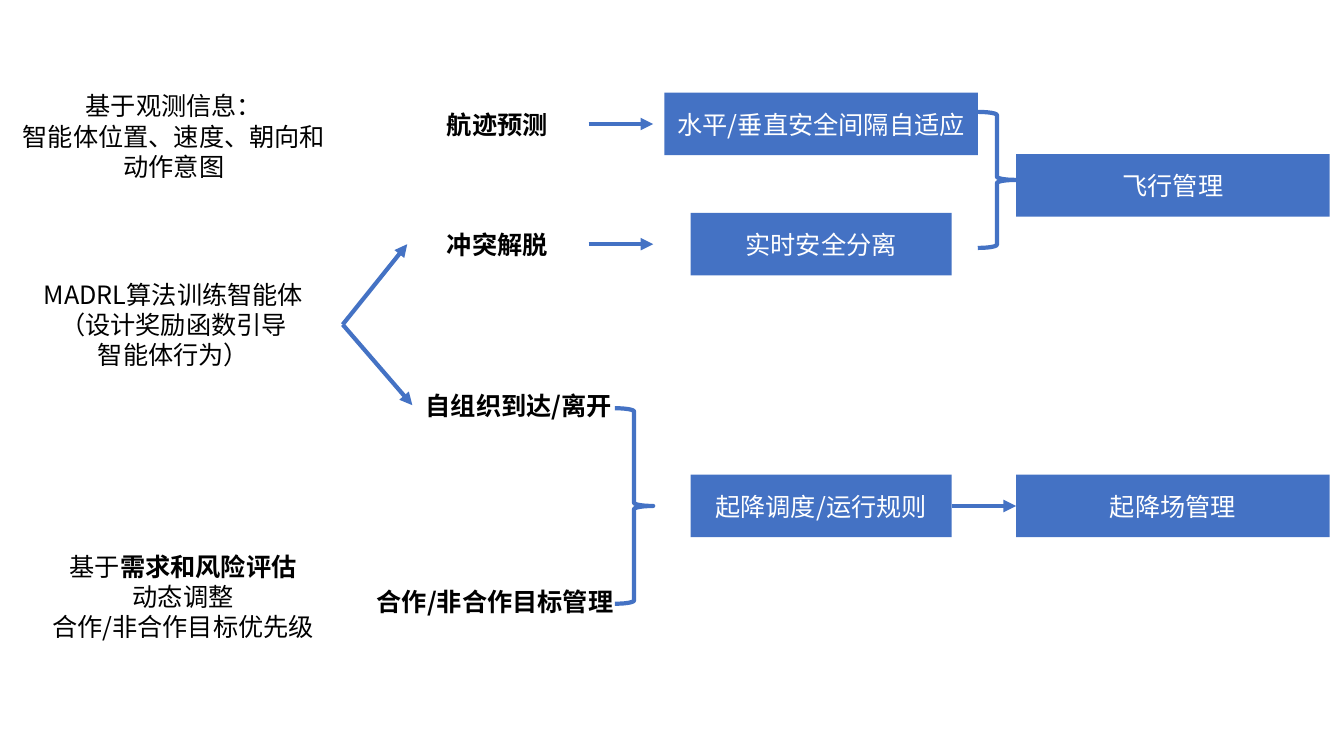
from lxml import etree
from pptx import Presentation
from pptx.dml.color import RGBColor
from pptx.enum.shapes import MSO_CONNECTOR, MSO_SHAPE
from pptx.enum.text import MSO_ANCHOR, PP_ALIGN
from pptx.oxml.ns import qn
from pptx.util import Inches, Pt

RECT, BRACE = MSO_SHAPE.RECTANGLE, MSO_SHAPE.RIGHT_BRACE
STRAIGHT = MSO_CONNECTOR.STRAIGHT
MIDDLE, CENTER = MSO_ANCHOR.MIDDLE, PP_ALIGN.CENTER

COLORS = {"blue": "4472C4", "white": "FFFFFF", "black": "000000"}
BOX_HEIGHT = 8.27

# Vertical centre of each level, in percent of the slide height
PREDICTION, FLIGHT, RESOLUTION = 16.4, 24.53, 32.3
TRAINING, ARRIVAL, VERTIPORT, TARGETS = 42.93, 53.6, 66.93, 79.6


class FlowSlide:
    """One slide measured on a grid of 100 columns by 100 rows."""

    font = "Noto Sans CJK SC"
    text_size = Pt(18)
    line_width = Pt(3)

    def __init__(self, deck):
        self.column = deck.slide_width / 100
        self.row = deck.slide_height / 100
        self.shapes = deck.slides.add_slide(deck.slide_layouts[6]).shapes

    def place(self, left, top, width, height):
        return (round(left * self.column), round(top * self.row),
                round(width * self.column), round(height * self.row))

    def color(self, name):
        return RGBColor.from_string(COLORS[name])

    def set_text(self, frame, paragraphs, color, wrap=True):
        """Each paragraph is a list of (text, bold) runs."""
        frame.word_wrap = wrap
        frame.vertical_anchor = MIDDLE
        for index, runs in enumerate(paragraphs):
            paragraph = frame.add_paragraph() if index else frame.paragraphs[0]
            paragraph.alignment = CENTER
            for text, bold in runs:
                run = paragraph.add_run()
                run.text = text
                run.font.size = self.text_size
                run.font.bold = bold
                run.font.name = self.font
                run.font.color.rgb = self.color(color)
                east_asian = etree.SubElement(run.font._element, qn("a:ea"))
                east_asian.set("typeface", self.font)

    def label(self, left, middle, width, paragraphs, height=BOX_HEIGHT, wrap=True):
        area = self.place(left, middle - height / 2, width, height)
        self.set_text(self.shapes.add_textbox(*area).text_frame, paragraphs, "black", wrap)

    def box(self, left, middle, width, text):
        area = self.place(left, middle - BOX_HEIGHT / 2, width, BOX_HEIGHT)
        box = self.shapes.add_shape(RECT, *area)
        box.shadow.inherit = False
        box.fill.solid()
        box.fill.fore_color.rgb = self.color("blue")
        box.line.fill.background()
        self.set_text(box.text_frame, [[(text, False)]], "white")

    def brace(self, left, top, height):
        brace = self.shapes.add_shape(BRACE, *self.place(left, top, 2.85, height))
        brace.shadow.inherit = False
        brace.fill.background()
        self.stroke(brace.line)

    def arrow(self, x1, y1, x2, y2):
        arrow = self.shapes.add_connector(STRAIGHT, *self.place(x1, y1, x2, y2))
        self.stroke(arrow.line)
        properties = arrow._element.spPr
        etree.SubElement(properties.get_or_add_ln(), qn("a:tailEnd")).set("type", "triangle")
        etree.SubElement(properties, qn("a:effectLst"))

    def stroke(self, line):
        line.color.rgb = self.color("blue")
        line.width = self.line_width


def main():
    deck = Presentation()
    deck.slide_width, deck.slide_height = Inches(13.33), Inches(7.5)
    flow = FlowSlide(deck)

    # Inputs
    flow.label(0.08, 18, 25.73, [
        [("基于观测信息：", False)],
        [("智能体位置、速度、朝向和动作意图", False)]])
    flow.label(0.38, TRAINING, 25.05, [
        [("MADRL算法训练智能体", False)],
        [("（设计奖励函数引导", False)],
        [("智能体行为）", False)]])
    flow.label(2.93, 78.87, 21.38, [
        [("基于", False), ("需求和风险评估", True)],
        [("动态调整", False)],
        [("合作/非合作目标优先级", False)]], height=14.53)

    # Capabilities
    for middle, capability in ((PREDICTION, "航迹预测"), (RESOLUTION, "冲突解脱")):
        flow.label(30.3, middle, 13.4, [[(capability, True)]])
        flow.arrow(43.8, middle, 48.6, middle)
    flow.label(30.68, ARRIVAL, 15.83, [[("自组织到达/离开", True)]], wrap=False)
    flow.label(27, TARGETS, 19.65, [[("合作/非合作目标管理", True)]], height=5.33)

    # Functions and the management they feed
    for left, middle, width, text in (
            (49.43, PREDICTION, 23.33, "水平/垂直安全间隔自适应"),
            (51.38, RESOLUTION, 19.43, "实时安全分离"),
            (51.38, VERTIPORT, 19.43, "起降调度/运行规则"),
            (75.6, FLIGHT, 23.33, "飞行管理"),
            (75.6, VERTIPORT, 23.33, "起降场管理")):
        flow.box(left, middle, width, text)

    flow.brace(72.75, 14.8, 18)
    flow.brace(45.75, 54, 25.87)
    flow.arrow(25.5, TRAINING, 30.3, RESOLUTION)
    flow.arrow(25.5, TRAINING, 30.68, ARRIVAL)
    flow.arrow(70.8, VERTIPORT, 75.6, VERTIPORT)

    deck.save("out.pptx")


if __name__ == "__main__":
    main()
